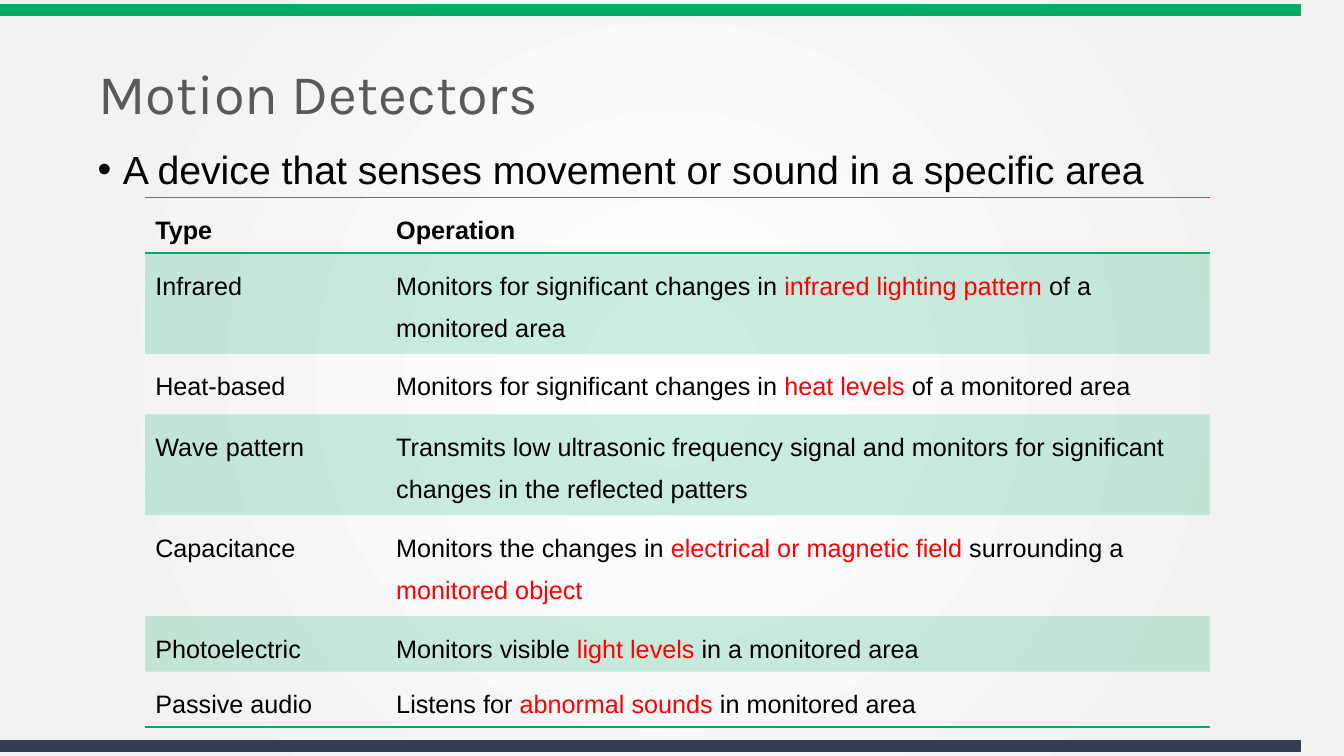
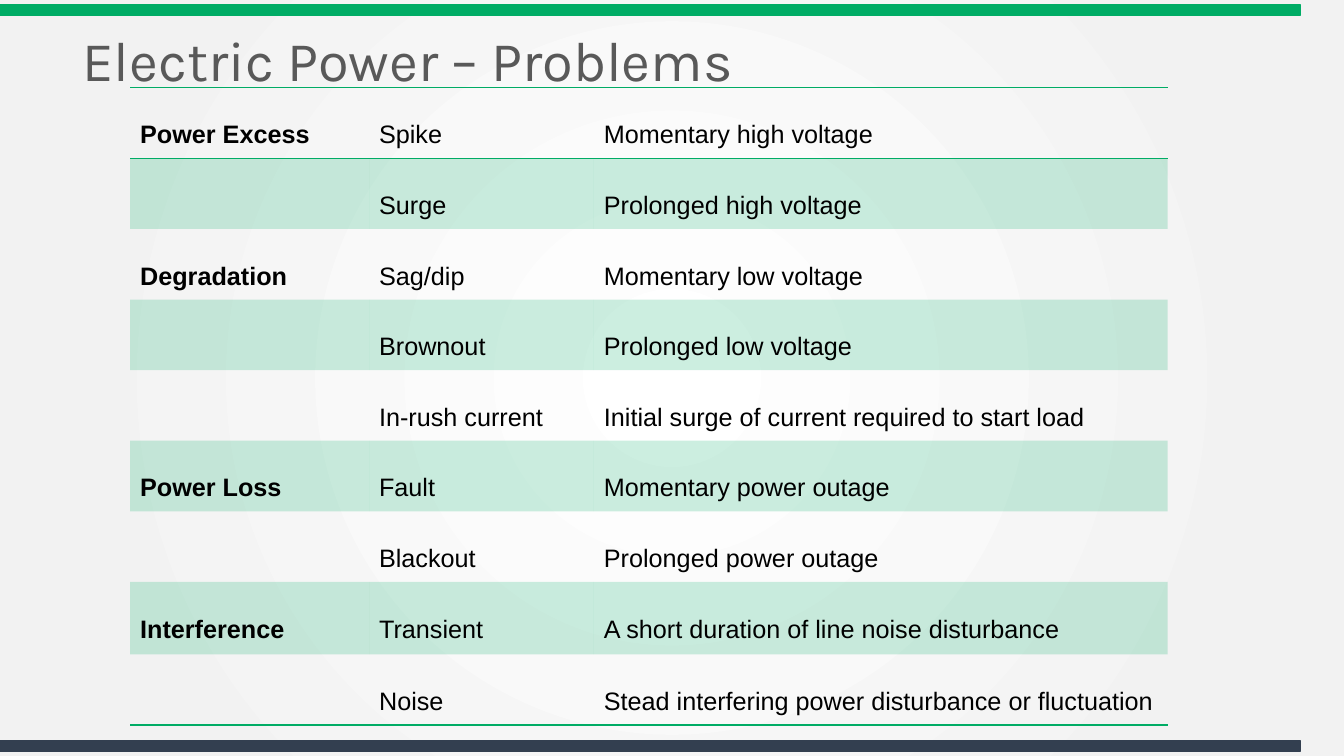
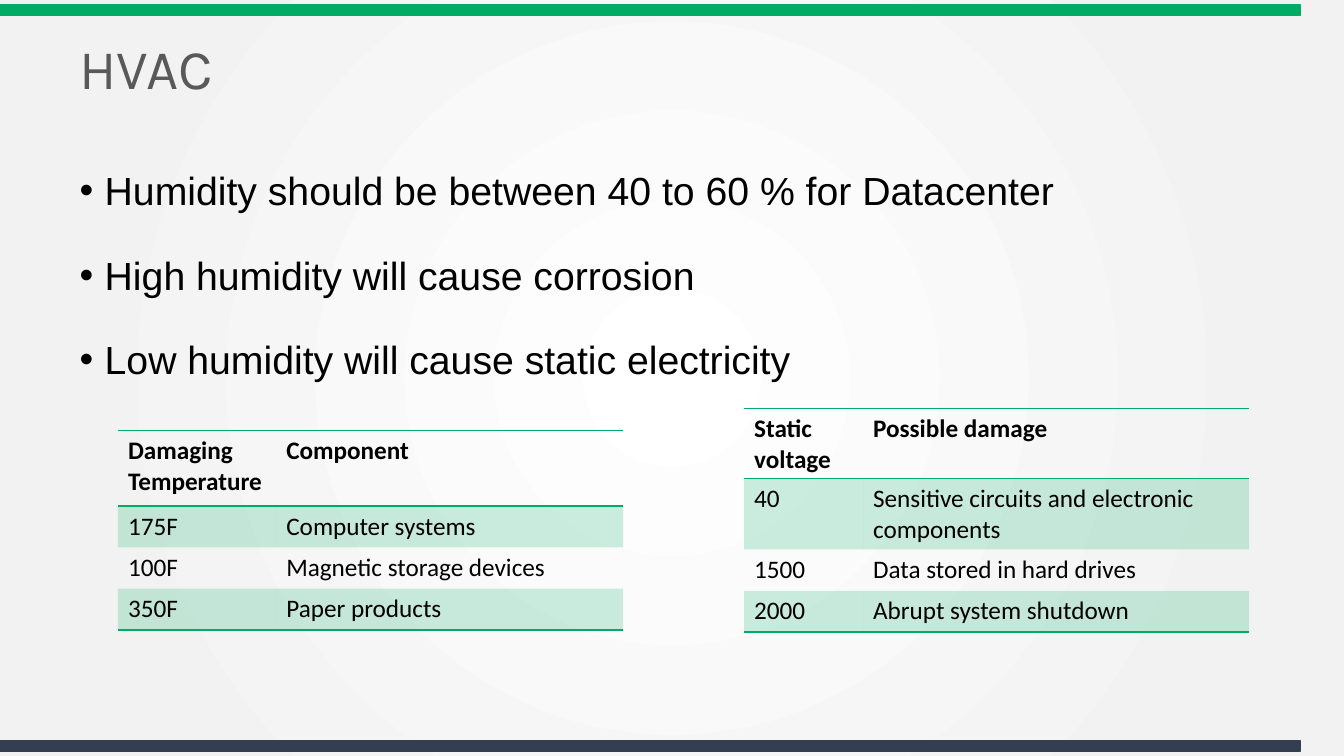
from lxml.etree import SubElement
from pptx import Presentation
from pptx.dml.color import RGBColor
from pptx.enum.shapes import MSO_SHAPE as Preset
from pptx.enum.text import MSO_ANCHOR as Anchor
from pptx.oxml import parse_xml
from pptx.oxml.ns import nsdecls, qn
from pptx.util import Inches, Pt

GREEN = RGBColor(0x00, 0xAC, 0x65)
NAVY = RGBColor(0x33, 0x3F, 0x50)
GREY = RGBColor(0x59, 0x59, 0x59)
BLACK = RGBColor(0x00, 0x00, 0x00)
RED = RGBColor(0xFF, 0x00, 0x00)
WHITE = RGBColor(0xFF, 0xFF, 0xFF)
PALE = RGBColor(0xF2, 0xF2, 0xF2)

NO_STYLE = "{2D5ABB26-0587-4C30-8999-92F81FD0307C}"
TITLE_SIZE = (11.7, 0.8)

DETECTORS = [
    ("Type", "Operation"),
    ("Infrared", "Monitors for significant changes in |infrared lighting pattern |of a monitored area"),
    ("Heat-based", "Monitors for significant changes in |heat levels |of a monitored area"),
    ("Wave pattern", "Transmits low ultrasonic frequency signal and monitors for "
                     "significant changes in the reflected patters"),
    ("Capacitance", "Monitors the changes in |electrical or magnetic field |surrounding a |monitored object"),
    ("Photoelectric", "Monitors visible |light levels |in a monitored area"),
    ("Passive audio", "Listens for |abnormal sounds |in monitored area"),
]
POWER_PROBLEMS = [
    ("Power Excess", "Spike", "Momentary high voltage"),
    ("", "Surge", "Prolonged high voltage"),
    ("Degradation", "Sag/dip", "Momentary low voltage"),
    ("", "Brownout", "Prolonged low voltage"),
    ("", "In-rush current", "Initial surge of current required to start load"),
    ("Power Loss", "Fault", "Momentary power outage"),
    ("", "Blackout", "Prolonged power outage"),
    ("Interference", "Transient", "A short duration of line noise disturbance"),
    ("", "Noise", "Stead interfering power disturbance or fluctuation"),
]
TEMPERATURES = [
    ("Damaging Temperature", "Component"),
    ("175F", "Computer systems"),
    ("100F", "Magnetic storage devices"),
    ("350F", "Paper products"),
]
VOLTAGES = [
    ("Static voltage", "Possible damage"),
    ("40", "Sensitive circuits and electronic components"),
    ("1500", "Data stored in hard drives"),
    ("2000", "Abrupt system shutdown"),
]
HUMIDITY = [
    "Humidity should be between 40 to 60 % for Datacenter",
    "High humidity will cause corrosion",
    "Low humidity will cause static electricity",
]


def write(paragraph, text, font="Arial", size=18, color=BLACK, bold=False, spacing=1.0):
    """Fill a paragraph, with every second part between bars in red."""
    paragraph.line_spacing = spacing
    for index, part in enumerate(text.split("|")):
        run = paragraph.add_run()
        run.text = part
        run.font.name = font
        run.font.size = Pt(size)
        run.font.bold = bold
        run.font.color.rgb = RED if index % 2 else color


def add_frame(slide, left, top, width, height):
    """Add a wrapping text box and return its text frame."""
    box = slide.shapes.add_textbox(Inches(left), Inches(top), Inches(width), Inches(height))
    box.text_frame.word_wrap = True
    return box.text_frame


def add_title(slide, text, left, top):
    """Add the slide title."""
    frame = add_frame(slide, left, top, *TITLE_SIZE)
    frame.vertical_anchor = Anchor.MIDDLE
    write(frame.paragraphs[0], text, font="Karla", size=40, color=GREY, spacing=0.9)


def add_bullets(slide, items, left, top, width, height):
    """Add a list of large bulleted lines."""
    frame = add_frame(slide, left, top, width, height)
    for index, item in enumerate(items):
        paragraph = frame.paragraphs[0] if index == 0 else frame.add_paragraph()
        properties = paragraph._p.get_or_add_pPr()
        properties.set("marL", str(Inches(0.25)))
        properties.set("indent", str(-Inches(0.25)))
        SubElement(properties, qn("a:buFont")).set("typeface", "Arial")
        SubElement(properties, qn("a:buChar")).set("char", "•")
        if index:
            paragraph.space_before = Pt(10)
        write(paragraph, item, size=28, spacing=1.5)


def add_border(cell, sides):
    """Draw green lines on the named sides of a cell."""
    for index, side in enumerate(sides):
        line = parse_xml(
            f'<a:{side} {nsdecls("a")} w="{Pt(1)}"><a:solidFill>'
            f'<a:srgbClr val="{GREEN}"/></a:solidFill></a:{side}>')
        cell._tc.get_or_add_tcPr().insert(index, line)


def shade(cell, banded):
    """Tint a banded cell and leave others clear."""
    if not banded:
        cell.fill.background()
        return
    cell.fill.solid()
    cell.fill.fore_color.rgb = GREEN
    color = cell._tc.tcPr.find(".//" + qn("a:srgbClr"))
    SubElement(color, qn("a:alpha")).set("val", "20000")


def add_grid(slide, rows, left, top, widths, heights, bold_header=True, **text_format):
    """Add a banded table ruled above and below its header and at its foot."""
    frame = slide.shapes.add_table(
        len(rows), len(widths), Inches(left), Inches(top),
        Inches(sum(widths)), Inches(sum(heights)))
    table = frame.table
    table.first_row = table.horz_banding = False
    table._tbl.tblPr.find(qn("a:tableStyleId")).text = NO_STYLE
    for column, width in zip(table.columns, widths):
        column.width = Inches(width)
    for row_index, (values, height) in enumerate(zip(rows, heights)):
        table.rows[row_index].height = Inches(height)
        for column_index, value in enumerate(values):
            cell = table.cell(row_index, column_index)
            bold = (row_index if bold_header else column_index) == 0
            if value:
                write(cell.text_frame.paragraphs[0], value, bold=bold, **text_format)
            shade(cell, row_index % 2 == 1)
            if row_index == 0:
                add_border(cell, ["lnT", "lnB"])
            elif row_index == len(rows) - 1:
                add_border(cell, ["lnB"])


def set_background(master):
    """Give the master a round white to grey gradient."""
    master.background.fill.gradient()
    gradient = master.element.find(".//" + qn("a:gradFill"))
    for child in list(gradient):
        gradient.remove(child)
    stops = SubElement(gradient, qn("a:gsLst"))
    for position, color in ((0, WHITE), (81, PALE), (100, PALE)):
        stop = SubElement(stops, qn("a:gs"))
        stop.set("pos", str(position * 1000))
        SubElement(stop, qn("a:srgbClr")).set("val", str(color))
    center = SubElement(gradient, qn("a:path"))
    center.set("path", "circle")
    target = SubElement(center, qn("a:fillToRect"))
    for side in "ltrb":
        target.set(side, "50000")


def add_slide(presentation, title, left, top):
    """Add a slide with the shared bands and a title."""
    slide = presentation.slides.add_slide(presentation.slide_layouts[6])
    for band_top, color in ((0.05, GREEN), (7.35, NAVY)):
        band = slide.shapes.add_shape(
            Preset.RECTANGLE, Inches(0), Inches(band_top), Inches(12.9), Inches(0.1))
        band.shadow.inherit = False
        band.fill.solid()
        band.fill.fore_color.rgb = color
        band.line.color.rgb = color
        band.line.width = Pt(1)
    add_title(slide, title, left, top)
    return slide


def add_detectors_slide(presentation):
    """Build the slide on motion detectors."""
    slide = add_slide(presentation, "Motion Detectors", 0.88, 0.56)
    add_bullets(slide, ["A device that senses movement or sound in a specific area"],
                0.87, 1.16, 11.7, 5.8)
    add_grid(slide, DETECTORS, 1.44, 1.96, [2.39, 8.17],
             [0.55, 1, 0.6, 1, 1, 0.55, 0.55], spacing=1.5)


def add_power_slide(presentation):
    """Build the slide on electric power problems."""
    slide = add_slide(presentation, "Electric Power – Problems", 0.72, 0.23)
    add_grid(slide, POWER_PROBLEMS, 1.29, 0.87, [2.37, 2.23, 5.69],
             [0.7] * 7 + [0.72, 0.7], bold_header=False, spacing=2.0)


def add_hvac_slide(presentation):
    """Build the slide on humidity, temperature and static."""
    slide = add_slide(presentation, "HVAC", 0.69, 0.31)
    add_bullets(slide, HUMIDITY, 0.69, 1.37, 11.75, 5.8)
    add_grid(slide, TEMPERATURES, 1.17, 4.27, [1.57, 3.44],
             [0.75, 0.41, 0.41, 0.41], font="Calibri")
    add_grid(slide, VOLTAGES, 7.38, 4.05, [1.18, 3.83],
             [0.7, 0.7, 0.41, 0.41], font="Calibri")


def main():
    """Build and save the presentation."""
    presentation = Presentation()
    presentation.slide_width = Inches(13.33)
    presentation.slide_height = Inches(7.5)
    set_background(presentation.slide_master)
    add_detectors_slide(presentation)
    add_power_slide(presentation)
    add_hvac_slide(presentation)
    presentation.save("out.pptx")


if __name__ == "__main__":
    main()
